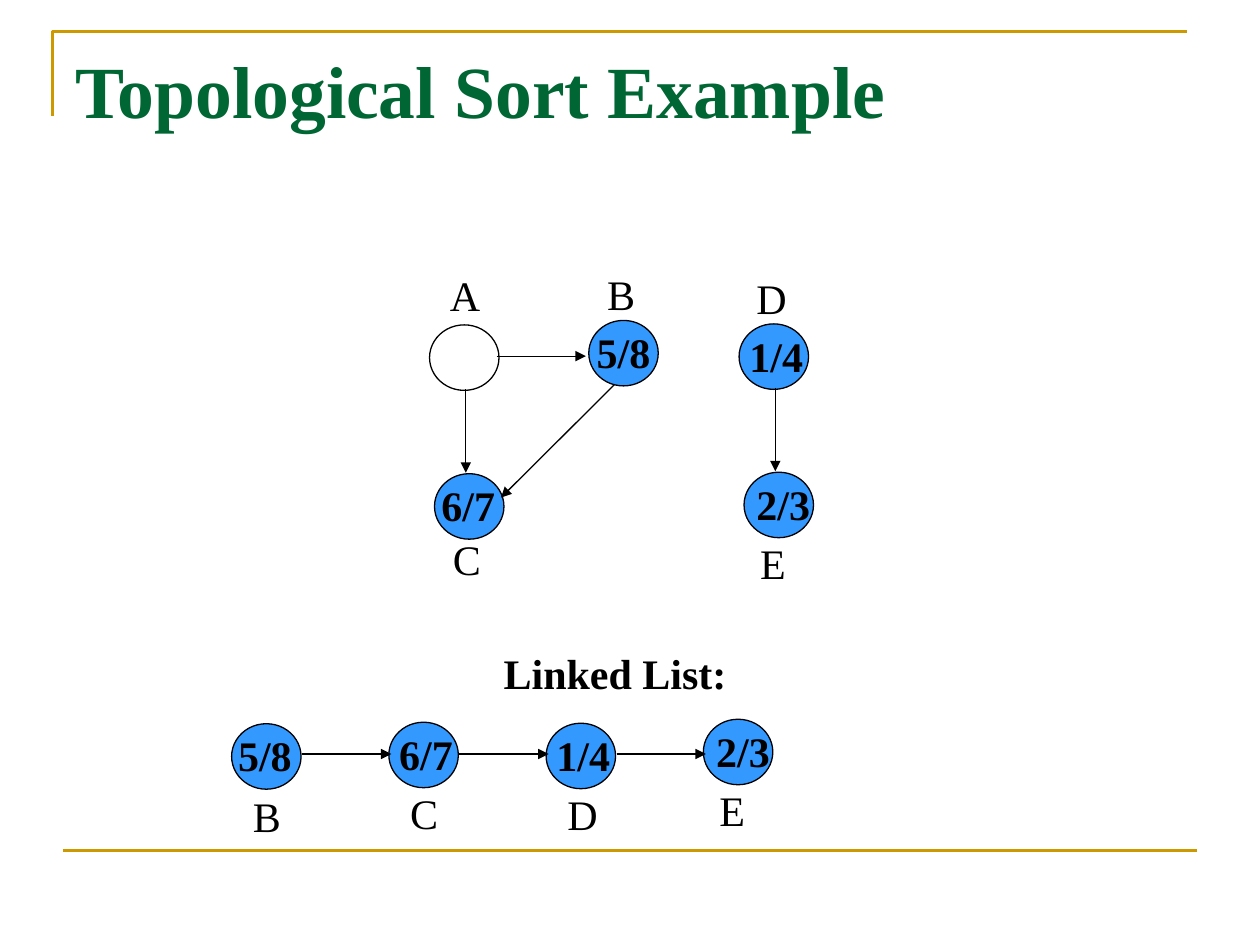
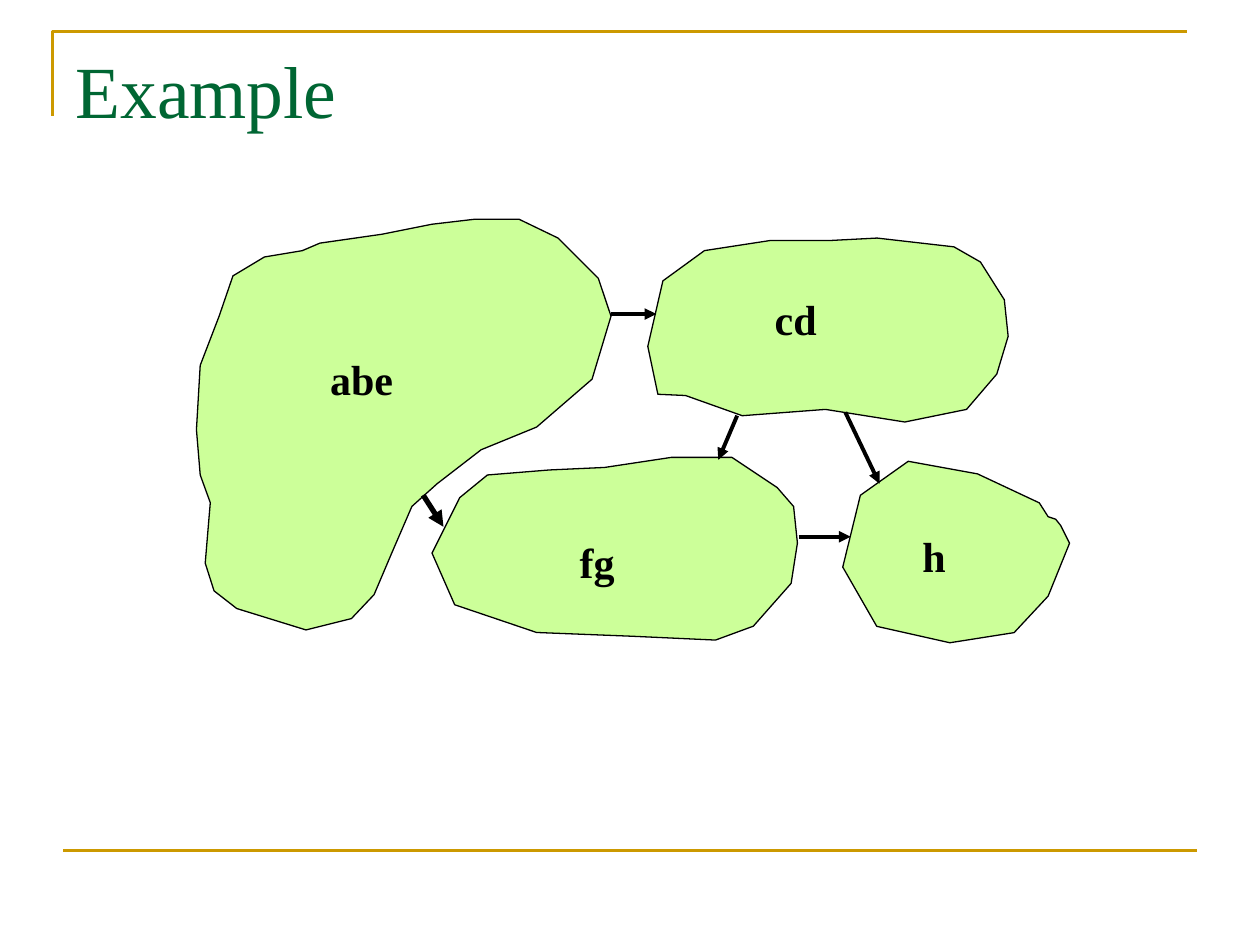
from lxml.etree import SubElement
from pptx import Presentation
from pptx.dml.color import RGBColor
from pptx.enum.shapes import MSO_CONNECTOR, MSO_SHAPE
from pptx.enum.text import MSO_ANCHOR, MSO_AUTO_SIZE, PP_ALIGN
from pptx.oxml.ns import qn
from pptx.util import Cm, Pt

FONT = "Times New Roman"
BLACK = RGBColor(0x00, 0x00, 0x00)
GOLD = RGBColor(0xCC, 0x99, 0x00)
DARK_GREEN = RGBColor(0x00, 0x66, 0x33)
LIGHT_GREEN = RGBColor(0xCC, 0xFF, 0x99)
BLUE = RGBColor(0x33, 0x99, 0xFF)

NODE_W, NODE_H = 1.4, 1.32
TEXT_H = 1.27
LIST_PITCH = 3.17
OUTLINE_UNIT = Cm(2.54) / 100

# Graph nodes: name, value, x, y, value shift, name centre and top
GRAPH_NODES = [
    ("A", None, 0.06, 1.25, 0, 0.71, -1.24),
    ("B", "5/8", 3.27, 1.16, -0.1, 0.65, -1.17),
    ("C", "6/7", 0.16, 4.25, -0.12, 0.65, 1.09),
    ("D", "1/4", 6.3, 1.23, -0.05, 0.65, -1.17),
    ("E", "2/3", 6.4, 4.22, -0.01, 0.58, 1.19),
]
GRAPH_EDGES = [
    (1.41, 1.88, 3.21, 1.88),
    (0.79, 2.55, 0.79, 4.23),
    (3.79, 2.45, 1.5, 4.73),
    (7.03, 2.52, 7.03, 4.2),
]
# Linked list: name, value, y, value shift, name centre and top
LIST_NODES = [
    ("B", "5/8", 0.04, -0.13, 0.71, 1.22),
    ("C", "6/7", 0.01, -0.05, 0.71, 1.19),
    ("D", "1/4", 0.03, -0.05, 0.73, 1.2),
    ("E", "2/3", -0.05, 0, 0.58, 1.19),
]

# Components: label, region corner, label centre in the region, outline
COMPONENTS = [
    ("h", (13.03, 4.88), (1.84, 1.9), [
        (107, 10), (52, 0), (14, 27), (0, 84), (27, 131), (85, 144),
        (136, 136), (163, 107), (180, 65), (173, 51), (169, 46), (163, 44),
        (156, 33)]),
    ("fg", (4.75, 4.8), (3.33, 2.11), [
        (137, 8), (93, 10), (44, 14), (22, 32), (0, 76), (18, 117),
        (83, 139), (159, 142), (225, 145), (255, 134), (285, 100), (290, 68),
        (287, 39), (274, 24), (238, 0), (190, 0)]),
    ("cd", (9.1, 0.38), (2.98, 1.63), [
        (182, 0), (144, 2), (97, 2), (45, 10), (12, 34), (0, 86), (8, 124),
        (30, 125), (75, 141), (141, 136), (204, 146), (253, 136), (277, 108),
        (286, 78), (283, 49), (264, 19), (243, 7)]),
    ("abe", (0, 0), (3.33, 3.21), [
        (54, 30), (29, 45), (18, 77), (3, 116), (0, 167), (3, 203),
        (11, 225), (7, 273), (14, 295), (32, 309), (87, 326), (123, 317),
        (141, 298), (155, 265), (171, 228), (191, 210), (226, 183),
        (270, 165), (314, 127), (329, 77), (319, 47), (287, 15), (256, 0),
        (221, 0), (187, 4), (147, 12), (98, 19), (84, 25)]),
]
# Component arrows: x1, y1, x2, y2, line width
COMPONENT_EDGES = [
    (8.36, 1.91, 9.27, 1.91, 2.25),
    (4.57, 5.56, 4.98, 6.2, 3),
    (10.9, 3.96, 10.52, 4.85, 2.25),
    (13.08, 3.89, 13.77, 5.33, 2.25),
    (12.14, 6.4, 13.19, 6.4, 2.25),
]


def style_shape(sp, fill, color=BLACK, width=0.75):
    sp.shadow.inherit = False
    if fill is None:
        sp.fill.background()
    else:
        sp.fill.solid()
        sp.fill.fore_color.rgb = fill
    sp.line.color.rgb = color
    sp.line.width = Pt(width)


def add_line(slide, x1, y1, x2, y2, color=BLACK, width=0.75, arrow=True):
    line = slide.shapes.add_connector(
        MSO_CONNECTOR.STRAIGHT, Cm(x1), Cm(y1), Cm(x2), Cm(y2))
    line.line.color.rgb = color
    line.line.width = Pt(width)
    sp_pr = line.element.spPr
    if arrow:
        SubElement(sp_pr.find(qn("a:ln")), qn("a:tailEnd"), type="triangle")
    SubElement(sp_pr, qn("a:effectLst"))
    return line


def add_label(slide, text, center_x, top, width, bold=False):
    sp = slide.shapes.add_textbox(
        Cm(center_x - width / 2), Cm(top), Cm(width), Cm(TEXT_H))
    tf = sp.text_frame
    tf.word_wrap = False
    p = tf.paragraphs[0]
    p.text = text
    p.alignment = PP_ALIGN.CENTER
    p.font.name = FONT
    p.font.size = Pt(24)
    p.font.bold = bold
    p.font.color.rgb = BLACK


def add_frame(slide, layout):
    """Draw the gold rules and move them to the layout that slides share."""
    builder = slide.shapes.build_freeform(0, 67, scale=OUTLINE_UNIT)
    builder.add_line_segments([(0, 0), (900, 0)], close=False)
    corner = builder.convert_to_shape(Cm(1.06), Cm(0.63))
    style_shape(corner, None, GOLD, 1.5)
    base = add_line(slide, 1.27, 17.15, 24.13, 17.15, GOLD, 1.5, arrow=False)
    tree = layout.placeholders[0].element.getparent()
    for sp in (corner, base):
        tree.append(sp.element)


def set_title(slide, text, bold=False):
    title = slide.shapes.title
    title.left, title.top = Cm(1.27), Cm(0.78)
    title.width, title.height = Cm(22.86), Cm(3.18)
    tf = title.text_frame
    tf.auto_size = MSO_AUTO_SIZE.NONE
    tf.vertical_anchor = MSO_ANCHOR.TOP
    p = tf.paragraphs[0]
    p.text = text
    p.alignment = PP_ALIGN.LEFT
    p.font.name = FONT
    p.font.size = Pt(42)
    p.font.bold = bold
    p.font.color.rgb = DARK_GREEN


def add_node(slide, name, value, x, y, value_dx, name_dx, name_dy):
    sp = slide.shapes.add_shape(
        MSO_SHAPE.OVAL, Cm(x), Cm(y), Cm(NODE_W), Cm(NODE_H))
    style_shape(sp, BLUE if value else None)
    if value:
        add_label(slide, value, x + value_dx + 0.8, y, 1.6, bold=True)
    add_label(slide, name, x + name_dx, y + name_dy, 1.1)


def add_graph(slide, left, top):
    for name, value, x, y, *offsets in GRAPH_NODES:
        add_node(slide, name, value, left + x, top + y, *offsets)
    for x1, y1, x2, y2 in GRAPH_EDGES:
        add_line(slide, left + x1, top + y1, left + x2, top + y2)


def add_linked_list(slide, left, top):
    add_label(slide, "Linked List:", left + 7.73, top, 5, bold=True)
    row = top + 1.62
    for i, (name, value, y, *offsets) in enumerate(LIST_NODES):
        add_node(slide, name, value, left + i * LIST_PITCH, row + y, *offsets)
    for i in range(len(LIST_NODES) - 1):
        x = left + i * LIST_PITCH + NODE_W + 0.02
        add_line(slide, x, row + 0.65, x + 1.8, row + 0.65)


def add_components(slide, left, top):
    for text, (dx, dy), (label_x, label_y), outline in COMPONENTS:
        x, y = left + dx, top + dy
        builder = slide.shapes.build_freeform(*outline[0], scale=OUTLINE_UNIT)
        builder.add_line_segments(outline[1:], close=True)
        style_shape(builder.convert_to_shape(Cm(x), Cm(y)), LIGHT_GREEN)
        add_label(slide, text, x + label_x, y + label_y - TEXT_H / 2,
                  0.6 + 0.42 * len(text), bold=True)
    for x1, y1, x2, y2, width in COMPONENT_EDGES:
        add_line(slide, left + x1, top + y1, left + x2, top + y2, width=width)


def main():
    prs = Presentation()
    prs.slide_width, prs.slide_height = Cm(25.4), Cm(19.05)
    layout = prs.slide_layouts[5]

    # Depth-first search times and the resulting list
    slide = prs.slides.add_slide(layout)
    add_frame(slide, layout)
    set_title(slide, "Topological Sort Example", bold=True)
    add_graph(slide, 8.6, 5.3)
    add_linked_list(slide, 4.67, 12.93)

    # Strongly connected components
    slide = prs.slides.add_slide(layout)
    set_title(slide, "Example")
    add_components(slide, 3.96, 4.42)

    prs.save("out.pptx")


if __name__ == "__main__":
    main()
